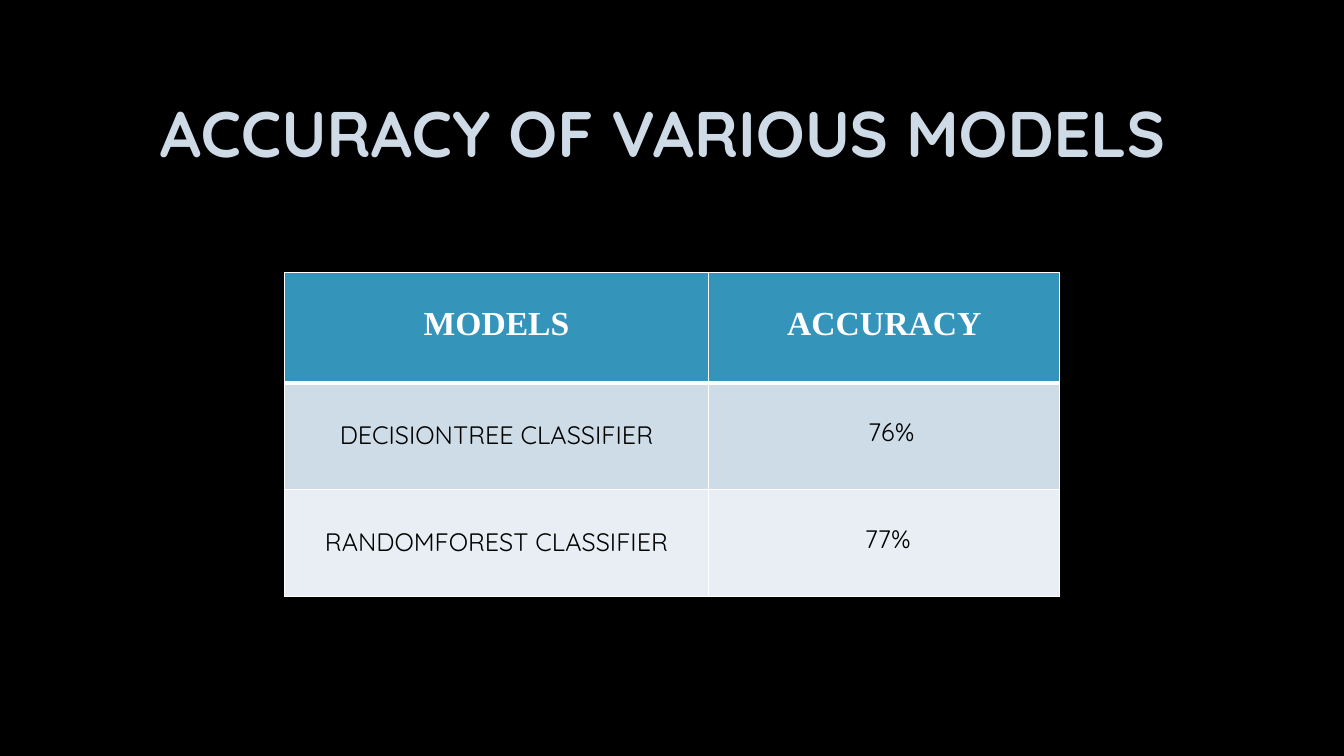
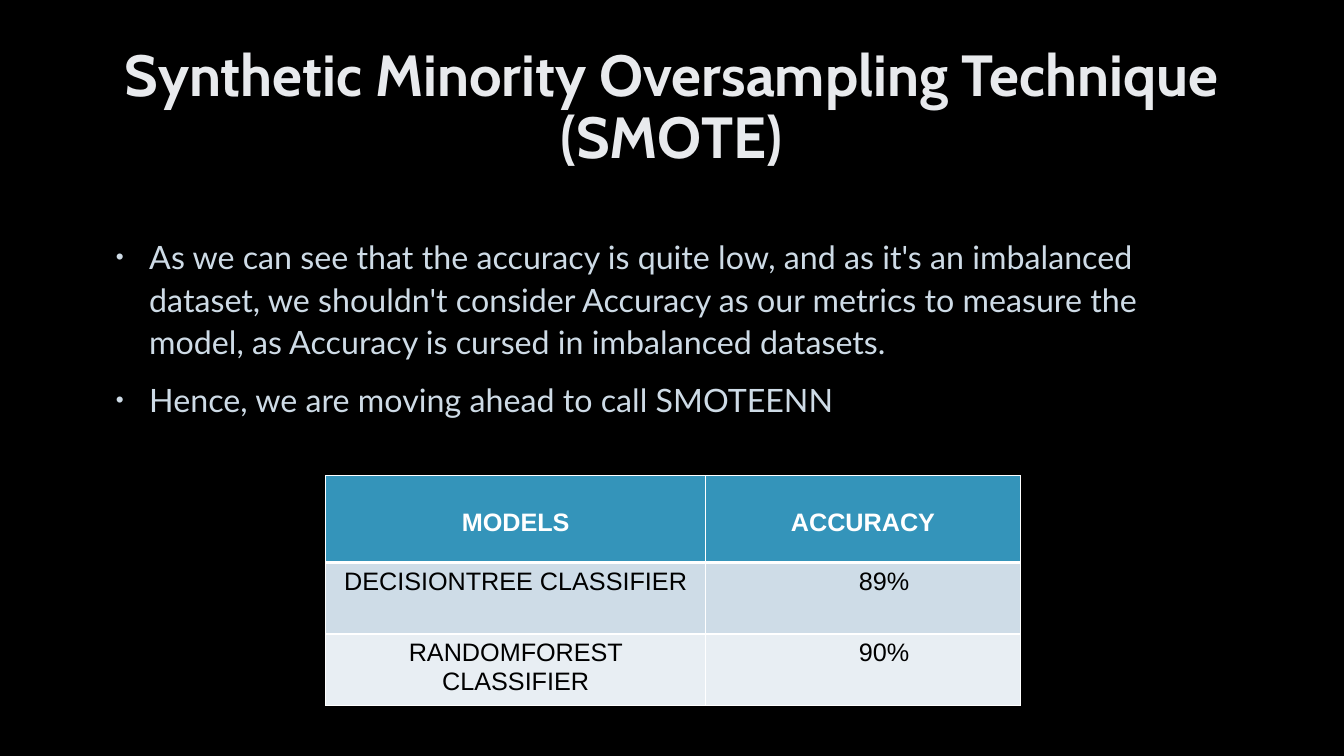
from lxml import etree
from pptx import Presentation
from pptx.dml.color import RGBColor
from pptx.enum import text
from pptx.oxml import ns
from pptx.util import Inches, Pt

BLACK = RGBColor(0x00, 0x00, 0x00)
WHITE = RGBColor(0xFF, 0xFF, 0xFF)
MIST = RGBColor(0xCE, 0xDB, 0xE6)
PEARL = RGBColor(0xE8, 0xEA, 0xED)
TEAL = RGBColor(0x34, 0x94, 0xBA)
BAND_DARK = RGBColor(0xCE, 0xDC, 0xE7)
BAND_LIGHT = RGBColor(0xE8, 0xEE, 0xF3)

LEFT, WIDTH = 1, 11.32
TITLE_HEIGHT = 1.38
INSET = 0.1


def assign(target, **values):
    """Set several attributes on one object."""
    for name, value in values.items():
        setattr(target, name, value)


def add_element(parent, tag, **values):
    """Append a drawing element with attributes."""
    return etree.SubElement(parent, ns.qn(tag), {k: str(v) for k, v in values.items()})


class Deck:
    """Hold the shared style and the current page."""

    def __init__(self):
        """Open a wide deck with a black background."""
        self.deck = Presentation()
        assign(self.deck, slide_width=Inches(13.33), slide_height=Inches(7.5))
        fill = self.deck.slide_master.background.fill
        fill.solid()
        fill.fore_color.rgb = BLACK
        self.page = None

    def add_page(self, layout):
        """Start a page on the named layout."""
        self.page = self.deck.slides.add_slide(self.deck.slide_layouts.get_by_name(layout))

    def place(self, box, top, height):
        """Put a placeholder on the common column."""
        assign(box, left=Inches(LEFT), top=Inches(top), width=Inches(WIDTH), height=Inches(height))
        assign(box.text_frame, word_wrap=True, auto_size=text.MSO_AUTO_SIZE.NONE)
        return box.text_frame

    def add_span(self, para, words, face, size, color, bold=False, **layout):
        """Add one formatted span to a paragraph."""
        assign(para, **layout)
        span = para.add_run()
        span.text = words
        assign(span.font, name=face, size=Pt(size), bold=bold)
        span.font.color.rgb = color

    def title(self, words, top, face, size, color, right=INSET):
        """Fill the title placeholder."""
        frame = self.place(self.page.shapes.title, top, TITLE_HEIGHT)
        assign(frame, vertical_anchor=text.MSO_ANCHOR.MIDDLE, margin_right=Inches(right))
        self.add_span(frame.paragraphs[0], words, face, size, color, True,
                      alignment=text.PP_ALIGN.CENTER, line_spacing=0.9)

    def bullets(self, items, top, height):
        """Fill the body placeholder with a bulleted list."""
        frame = self.place(self.page.placeholders[1], top, height)
        frame.vertical_anchor = text.MSO_ANCHOR.TOP
        for index, words in enumerate(items):
            para = frame.add_paragraph() if index else frame.paragraphs[0]
            props = para._p.get_or_add_pPr()
            for name, value in {"marL": 0.38, "indent": -0.33}.items():
                props.set(name, str(Inches(value)))
            add_element(add_element(props, "a:buClr"), "a:srgbClr", val=MIST)
            add_element(props, "a:buSzPct", val=70000)
            add_element(props, "a:buChar", char="•")
            self.add_span(para, words, "Lato", 23, MIST, line_spacing=1.1,
                          space_before=Pt(5 if index else 0), space_after=Pt(6))

    def borders(self, cell, top, bottom):
        """Draw white cell borders."""
        props = cell._tc.get_or_add_tcPr()
        for side, points in {"L": 1, "R": 1, "T": top, "B": bottom}.items():
            line = add_element(props, f"a:ln{side}", w=Pt(points))
            add_element(add_element(line, "a:solidFill"), "a:srgbClr", val=WHITE)

    def table(self, left, top, columns, heights, rows, head, body, drops, shifts):
        """Add a table; drops and shifts give text insets by row and column."""
        frame = self.page.shapes.add_table(
            len(rows), len(columns), Inches(left), Inches(top),
            Inches(sum(columns)), Inches(sum(heights)))
        grid = frame.table
        assign(grid, first_row=False, horz_banding=False)
        for column, width in zip(grid.columns, columns):
            column.width = Inches(width)
        for r, (words, height) in enumerate(zip(rows, heights)):
            grid.rows[r].height = Inches(height)
            for c, label in enumerate(words):
                cell = grid.cell(r, c)
                self.borders(cell, 3 if r == 1 else 1, 3 if r == 0 else 1)
                cell.fill.solid()
                cell.fill.fore_color.rgb = (TEAL, BAND_DARK, BAND_LIGHT)[r]
                assign(cell, margin_top=Inches(drops[r][c]),
                       margin_left=Inches(INSET + (shifts[r] if c else 0)),
                       vertical_anchor=text.MSO_ANCHOR.TOP)
                face, size = body if r else head
                self.add_span(cell.text_frame.paragraphs[0], label, face, size,
                              BLACK if r else WHITE, r == 0, alignment=text.PP_ALIGN.CENTER)


def model_rows(tree, forest):
    """Return the accuracy rows for both classifiers."""
    return [("MODELS", "ACCURACY"), ("DECISIONTREE CLASSIFIER", tree),
            ("RANDOMFOREST CLASSIFIER", forest)]


def main():
    """Build and save both pages."""
    show = Deck()

    show.add_page("Title Only")
    show.title("ACCURACY OF VARIOUS MODELS", 0.67, "Quicksand", 46, MIST, right=0.28)
    show.table(2.82, 2.7, (4.21, 3.48), (1.1, 1.06, 1.06), model_rows("76%", "77%"),
               head=("Times New Roman", 24), body=("Quicksand", 18),
               drops=((0.33, 0.33), (0.36, 0.33), (0.36, 0.33)), shifts=(0, 0.14, 0.07))

    show.add_page("Title and Content")
    show.title("Synthetic Minority Oversampling Technique (SMOTE)", 0.39, "Cabin", 41.4, PEARL)
    show.bullets((
        "As we can see that the accuracy is quite low, and as it's an imbalanced dataset, "
        "we shouldn't consider Accuracy as our metrics to measure the model, "
        "as Accuracy is cursed in imbalanced datasets.",
        "Hence, we are moving ahead to call SMOTEENN"), 2.27, 4.06)
    show.table(3.23, 4.72, (3.77, 3.12), (0.86, 0.71, 0.71), model_rows("89%", "90%"),
               head=("Arial", 18), body=("Arial", 18),
               drops=((0.33, 0.33), (0.05, 0.05), (0.05, 0.05)), shifts=(0, 0.42, 0.42))

    show.deck.save("out.pptx")


if __name__ == "__main__":
    main()
